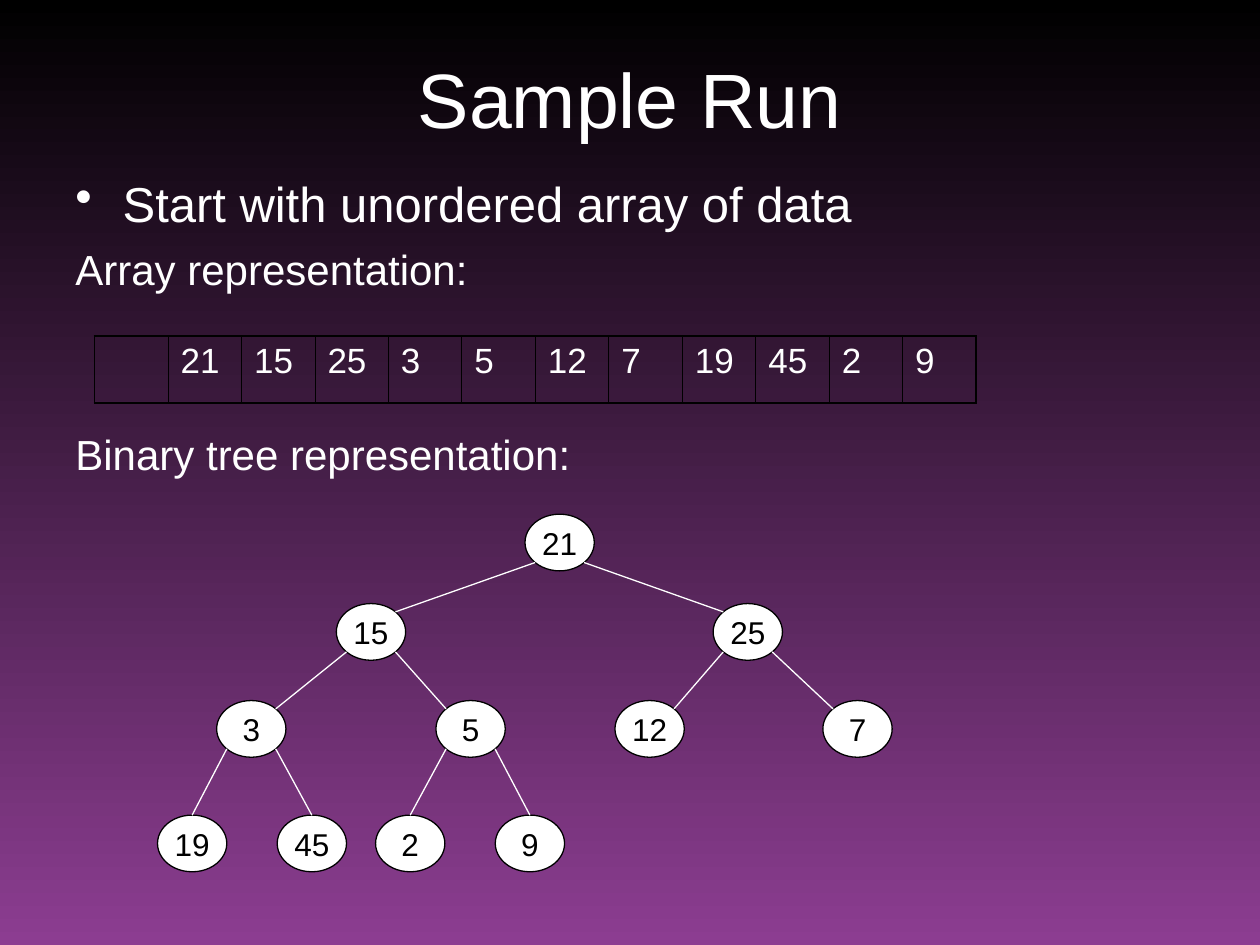
from lxml.etree import SubElement
from pptx import Presentation
from pptx.dml.color import RGBColor
from pptx.enum.shapes import MSO_CONNECTOR, MSO_SHAPE
from pptx.enum.text import MSO_ANCHOR, PP_ALIGN
from pptx.oxml import parse_xml
from pptx.oxml.ns import nsdecls, qn
from pptx.util import Pt

BLACK = RGBColor(0x00, 0x00, 0x00)
WHITE = RGBColor(0xFF, 0xFF, 0xFF)
PURPLE = RGBColor(0x8C, 0x3D, 0x91)

VALUES = [21, 15, 25, 3, 5, 12, 7, 19, 45, 2, 9]
NODE_LEFTS = [300, 192.2, 407.5, 123.8, 249.1, 351.4, 470.2, 90, 158.4, 214.6, 283]
LEVEL_TOPS = [293.8, 344.9, 400.3, 465.8]
NODE_WIDTH, NODE_HEIGHT = 39.6, 32.4
DIAGONAL = 0.5 ** 0.5
INDENT = 27

TITLE_FONT = {"size": Pt(44), "name": "Arial"}
BULLET_FONT = {"size": Pt(28), "name": "Arial"}
LABEL_FONT = {"size": Pt(24), "name": "Arial"}
CELL_FONT = {"size": Pt(20), "name": "Arial"}
NODE_FONT = {"size": Pt(18), "name": "Arial"}


def set_attributes(target, values):
    for name, value in values.items():
        setattr(target, name, value)


def write_text(paragraph, text, font, color, **layout):
    run = paragraph.add_run()
    run.text = text
    set_attributes(run.font, font)
    run.font.color.rgb = color
    set_attributes(paragraph, layout)


def paint_background(slide):
    fill = slide.background.fill
    fill.gradient()
    fill.gradient_angle = 270
    for stop, color in zip(fill.gradient_stops, (BLACK, PURPLE)):
        stop.color.rgb = color


def add_text_frame(slide, left, top, width, height, anchor):
    box = slide.shapes.add_textbox(Pt(left), Pt(top), Pt(width), Pt(height))
    set_attributes(box.text_frame, {"word_wrap": True, "vertical_anchor": anchor})
    return box.text_frame


def add_title(slide):
    frame = add_text_frame(slide, 36, 21.6, 648, 68.4, MSO_ANCHOR.MIDDLE)
    write_text(frame.paragraphs[0], "Sample Run", TITLE_FONT, WHITE,
               alignment=PP_ALIGN.CENTER)


def add_bullet(paragraph):
    properties = paragraph._p.get_or_add_pPr()
    properties.set("marL", str(Pt(INDENT)))
    properties.set("indent", str(-Pt(INDENT)))
    SubElement(properties, qn("a:buChar"), char="•")


def add_body(slide):
    frame = add_text_frame(slide, 36, 95.8, 653.8, 386.6, MSO_ANCHOR.TOP)
    bullet = frame.paragraphs[0]
    write_text(bullet, "Start with unordered array of data", BULLET_FONT, WHITE,
               space_before=Pt(7))
    add_bullet(bullet)
    for text, gap in (("Array representation:", 6), ("Binary tree representation:", 77)):
        write_text(frame.add_paragraph(), text, LABEL_FONT, WHITE, space_before=Pt(gap))


def add_border(cell, side, width):
    properties = cell._tc.get_or_add_tcPr()
    properties.append(parse_xml(
        f'<a:ln{side} {nsdecls("a")} w="{Pt(width)}"><a:solidFill>'
        f'<a:srgbClr val="{BLACK}"/></a:solidFill></a:ln{side}>'))


def add_array(slide):
    texts = [""] + [str(value) for value in VALUES]
    frame = slide.shapes.add_table(1, len(texts), Pt(54), Pt(192), Pt(504), Pt(38.4))
    table = frame.table
    set_attributes(table, {"first_row": False, "horz_banding": False})
    last = len(texts) - 1
    for column, text in enumerate(texts):
        cell = table.cell(0, column)
        borders = {"L": 0.45 if column else 1.08, "R": 0.45 if column < last else 1.08,
                   "T": 1.08, "B": 1.08}
        for side, width in borders.items():
            add_border(cell, side, width)
        cell.fill.background()
        set_attributes(cell, {"margin_left": Pt(7.2), "margin_right": Pt(7.2),
                              "margin_top": Pt(3.6), "margin_bottom": Pt(3.6)})
        if text:
            write_text(cell.text_frame.paragraphs[0], text, CELL_FONT, WHITE,
                       space_before=Pt(5))


def node_level(position):
    return position.bit_length() - 1


def node_point(position, across, down):
    left = NODE_LEFTS[position - 1]
    top = LEVEL_TOPS[node_level(position)]
    return (Pt(left + NODE_WIDTH / 2 * (1 + across)),
            Pt(top + NODE_HEIGHT / 2 * (1 + down)))


def add_node(slide, position, value):
    left, top = node_point(position, -1, -1)
    node = slide.shapes.add_shape(MSO_SHAPE.FLOWCHART_CONNECTOR, left, top,
                                  Pt(NODE_WIDTH), Pt(NODE_HEIGHT))
    node.shadow.inherit = False
    node.fill.solid()
    node.fill.fore_color.rgb = WHITE
    node.line.color.rgb = BLACK
    node.line.width = Pt(0.75)
    set_attributes(node.text_frame, {"word_wrap": False,
                                     "vertical_anchor": MSO_ANCHOR.MIDDLE})
    write_text(node.text_frame.paragraphs[0], str(value), NODE_FONT, BLACK,
               alignment=PP_ALIGN.CENTER)


def add_branch(slide, child):
    side = DIAGONAL if child % 2 else -DIAGONAL
    start = node_point(child // 2, side, DIAGONAL)
    is_bottom = node_level(child) == len(LEVEL_TOPS) - 1
    end = node_point(child, 0, -1) if is_bottom else node_point(child, -side, -DIAGONAL)
    branch = slide.shapes.add_connector(MSO_CONNECTOR.STRAIGHT, *start, *end)
    branch.line.color.rgb = WHITE
    branch.line.width = Pt(0.75)
    SubElement(branch._element.spPr, qn("a:effectLst"))


def add_tree(slide):
    for position, value in enumerate(VALUES, start=1):
        add_node(slide, position, value)
        if position > 1:
            add_branch(slide, position)


def main():
    presentation = Presentation()
    set_attributes(presentation, {"slide_width": Pt(720), "slide_height": Pt(540)})
    slide = presentation.slides.add_slide(presentation.slide_layouts[6])
    paint_background(slide)
    add_title(slide)
    add_body(slide)
    add_array(slide)
    add_tree(slide)
    presentation.save("out.pptx")


if __name__ == "__main__":
    main()
